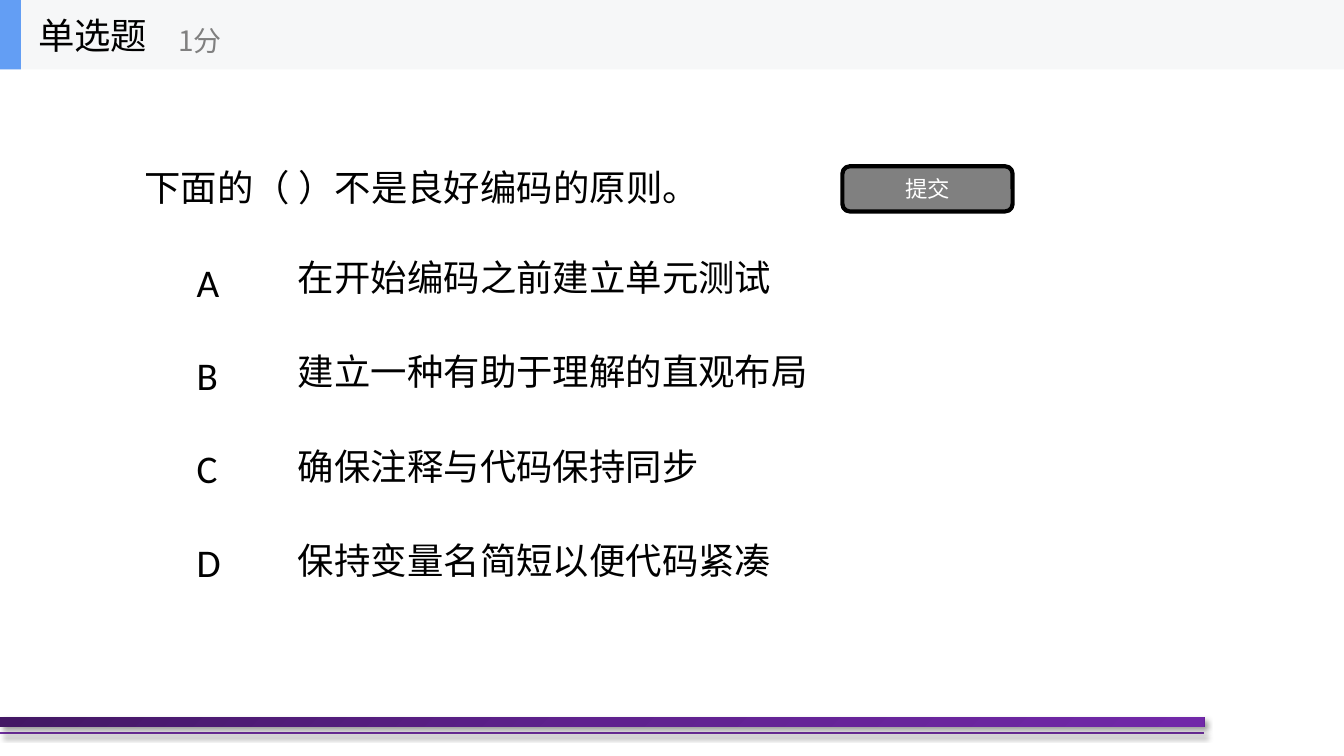
"""Build a single-choice quiz slide about good coding principles."""
from lxml import etree
from pptx import Presentation
from pptx.dml.color import RGBColor
from pptx.enum import shapes, text
from pptx.oxml import parse_xml
from pptx.oxml.ns import nsdecls, qn
from pptx.util import Cm, Pt

BLACK = RGBColor(0, 0, 0)
WHITE = RGBColor(255, 255, 255)
GRAY = RGBColor(0x80, 0x80, 0x80)
PALE = RGBColor(0xF6, 0xF7, 0xF8)
BLUE = RGBColor(0x63, 0x9E, 0xF4)
VIOLET = RGBColor(0x70, 0x30, 0xA0)
BLEND = {0: "431764", 50000: "5F218E", 100000: "7128A8"}
HAN = "Noto Sans CJK SC"
SHADE = (
    f'<a:effectLst {nsdecls("a")}><a:outerShdw blurRad="50800" dist="38100" '
    'dir="2700000" algn="tl" rotWithShape="0"><a:srgbClr val="000000">'
    '<a:alpha val="40000"/></a:srgbClr></a:outerShdw></a:effectLst>'
)


def write(shape, words, size, color=BLACK, align=text.PP_ALIGN.LEFT):
    """Put one middle-anchored line of Chinese text in a shape."""
    frame = shape.text_frame
    frame.word_wrap = True
    frame.auto_size = text.MSO_AUTO_SIZE.NONE
    frame.vertical_anchor = text.MSO_ANCHOR.MIDDLE
    para = frame.paragraphs[0]
    para.alignment = align
    run = para.add_run()
    run.text = words
    run.font.size = Pt(size)
    run.font.name = HAN
    run.font.color.rgb = color
    east = etree.SubElement(run.font._element, qn("a:ea"))
    east.set("typeface", HAN)


def block(home, kind, box, color):
    """Add a flat filled shape without outline or shadow."""
    shape = home.add_shape(kind, *map(Cm, box))
    shape.shadow.inherit = False
    shape.fill.solid()
    shape.fill.fore_color.rgb = color
    shape.line.fill.background()
    return shape


deck = Presentation()
deck.slide_width, deck.slide_height = Cm(33.87), Cm(19.05)
slide = deck.slides.add_slide(deck.slide_layouts[1])
parts = slide.shapes
RECT = shapes.MSO_SHAPE.RECTANGLE

rule = parts.add_connector(
    shapes.MSO_CONNECTOR.STRAIGHT, 0, Cm(18.47), Cm(30.35), Cm(18.47))
rule.line.color.rgb = VIOLET
rule.line.width = Pt(1.5)
rule._element.spPr.append(parse_xml(SHADE))

bar = block(parts, RECT, (0, 18.08, 30.35, 0.24), VIOLET)
props = bar._element.spPr
stops = "".join(
    f'<a:gs pos="{pos}"><a:srgbClr val="{tone}"/></a:gs>'
    for pos, tone in BLEND.items())
props.replace(props.find(qn("a:solidFill")), parse_xml(
    f'<a:gradFill {nsdecls("a")} rotWithShape="1"><a:gsLst>{stops}</a:gsLst>'
    '<a:lin ang="2700000" scaled="0"/></a:gradFill>'))
props.replace(props.find(qn("a:effectLst")), parse_xml(SHADE))

title = parts.title
title.left, title.top, title.width, title.height = map(
    Cm, (3.39, 1.75, 27.1, 5.94))
write(title, "下面的（ ）不是良好编码的原则。", 26)

answers = [
    "在开始编码之前建立单元测试",
    "建立一种有助于理解的直观布局",
    "确保注释与代码保持同步",
    "保持变量名简短以便代码紧凑",
]
for row, answer in enumerate(answers):
    box = parts.add_textbox(Cm(7.26), Cm(6.09 + 2.38 * row), Cm(23.7), Cm(1.78))
    write(box, answer, 26)

button = block(
    parts, shapes.MSO_SHAPE.ROUNDED_RECTANGLE, (21.23, 4.19, 4.29, 1.14), GRAY)
button.line.color.rgb = BLACK
button.line.width = Pt(3)
write(button, "提交", 16, WHITE, text.PP_ALIGN.CENTER)

header = parts.add_group_shape().shapes
block(header, RECT, (0, 0, 33.87, 1.75), PALE)
block(header, RECT, (0, 0, 0.53, 1.75), BLUE)
label = header.add_textbox(Cm(0.71), 0, Cm(5.28), Cm(1.75))
write(label, "单选题", 26)
score = header.add_textbox(Cm(4.24), Cm(0.3), Cm(6.35), Cm(1.42))
write(score, "1分", 20, GRAY)

keys = slide.placeholders[1]
keys.left, keys.top, keys.width, keys.height = map(Cm, (4.7, 6.38, 1.12, 8.64))
frame = keys.text_frame
frame.word_wrap = False
frame.auto_size = text.MSO_AUTO_SIZE.NONE
for row, letter in enumerate("ABCD"):
    para = frame.add_paragraph() if row else frame.paragraphs[0]
    marks = para._p.get_or_add_pPr()
    marks.set("marL", "0")
    marks.set("indent", "0")
    etree.SubElement(marks, qn("a:buNone"))
    para.space_before = Pt(33 if row else 0)
    run = para.add_run()
    run.text = letter
    run.font.size = Pt(28)
    run.font.name = "Calibri"
    run.font.color.rgb = BLACK

deck.save("out.pptx")
